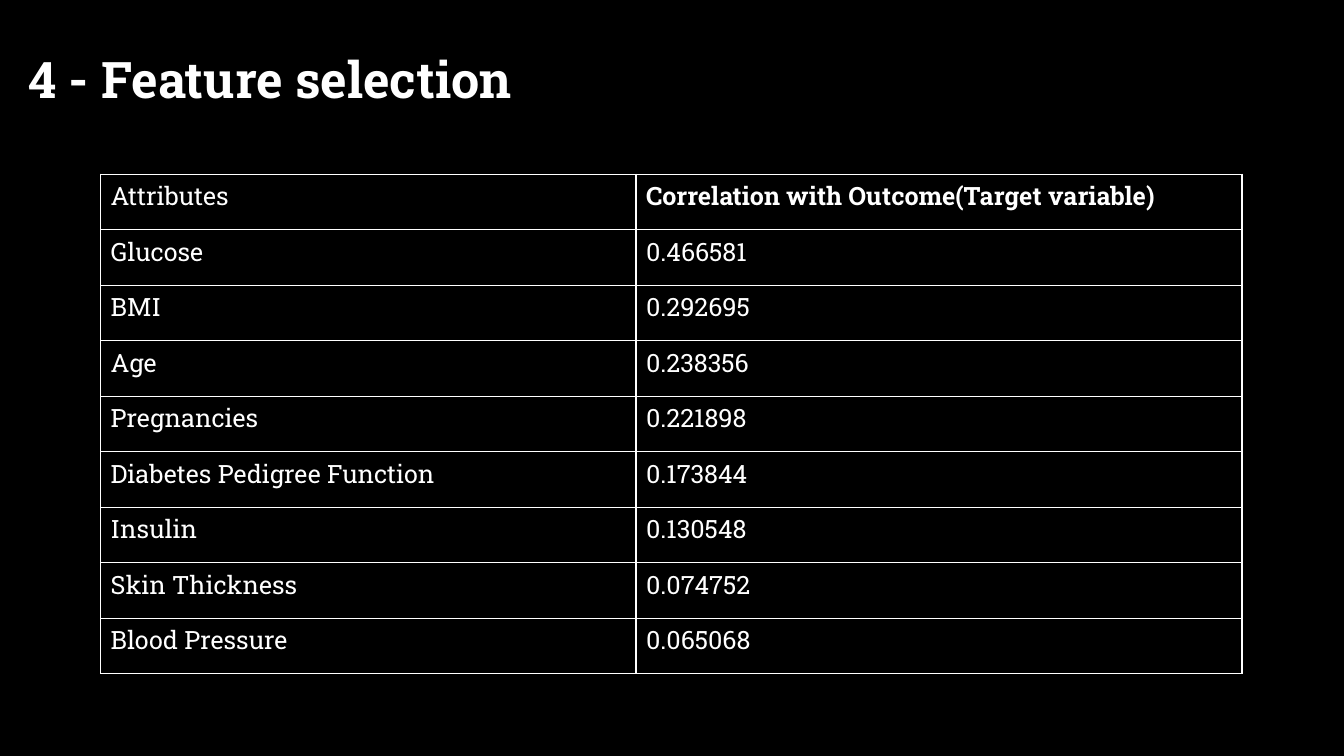
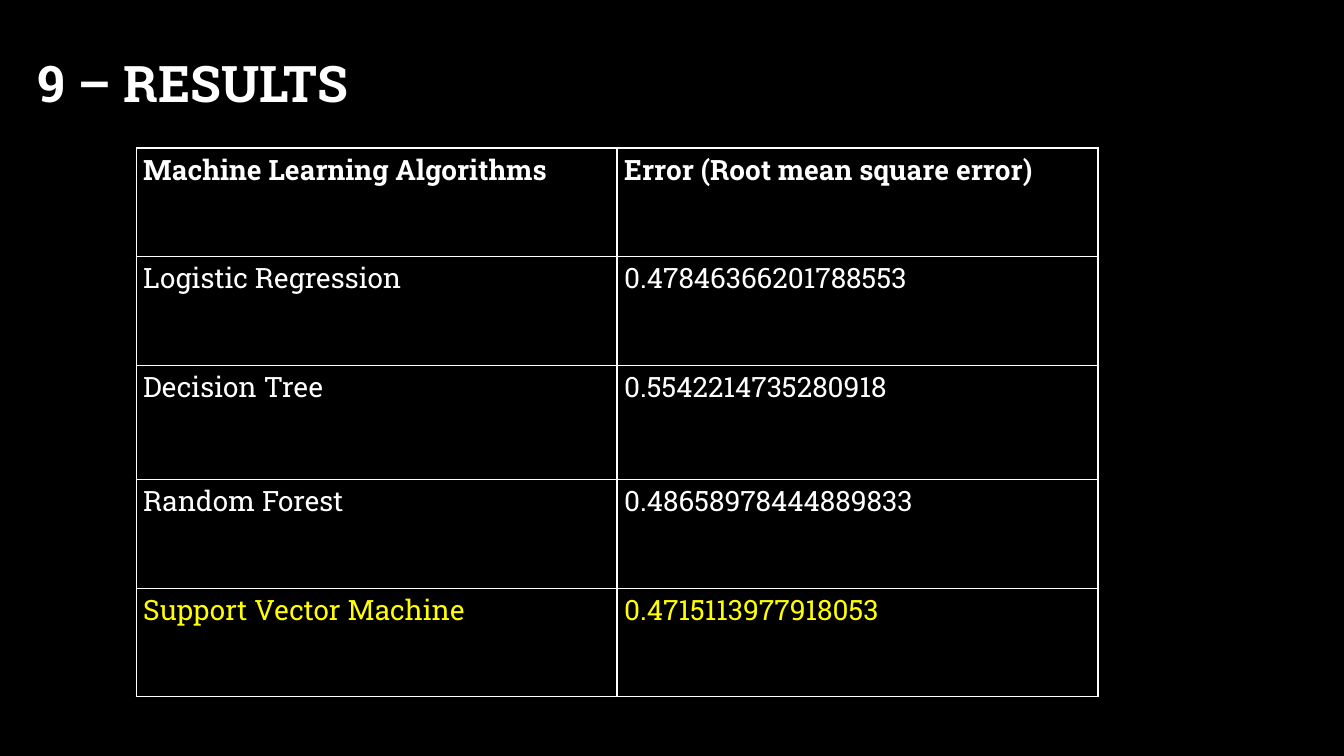
from lxml import etree
from pptx import Presentation
from pptx.dml.color import RGBColor
from pptx.enum.text import PP_ALIGN as Align
from pptx.oxml.ns import qn
from pptx.util import Cm, Pt

FONT = "Roboto Slab"
BLACK, WHITE, YELLOW = "000000", "FFFFFF", "FFFF00"

# Content: lengths in cm; "bold" and "marked" hold (row, column) and row numbers
SLIDES = [
    {
        "title": "4 - Feature selection",
        "box": (0.46, 0.79, 32.99, 17.86),
        "at": (2.54, 4.39),
        "cols": [13.49, 15.27],
        "heights": [1.4] * 9,
        "size": 18,
        "pad": (0.25, 0.13),
        "para": {},
        "bold": {(0, 1)},
        "marked": set(),
        "rows": [
            ("Attributes", "Correlation with Outcome(Target variable)"),
            ("Glucose", "0.466581"),
            ("BMI", "0.292695"),
            ("Age", "0.238356"),
            ("Pregnancies", "0.221898"),
            ("Diabetes Pedigree Function", "0.173844"),
            ("Insulin", "0.130548"),
            ("Skin Thickness", "0.074752"),
            ("Blood Pressure", "0.065068"),
        ],
    },
    {
        "title": "9 – RESULTS",
        "box": (0.69, 0.89, 32.64, 17.58),
        "at": (3.43, 3.73),
        "cols": [12.12, 12.12],
        "heights": [2.74, 2.74, 2.87, 2.74, 2.74],
        "size": 20,
        "pad": (0.18, 0),
        "para": {"alignment": Align.JUSTIFY, "line_spacing": 1.07,
                 "space_after": Pt(8)},
        "bold": {(0, 0), (0, 1)},
        "marked": {4},
        "rows": [
            ("Machine Learning Algorithms", "Error (Root mean square error)"),
            ("Logistic Regression", "0.47846366201788553"),
            ("Decision Tree", "0.5542214735280918"),
            ("Random Forest", "0.48658978444889833"),
            ("Support Vector Machine", "0.4715113977918053"),
        ],
    },
]


def paint(fill, color):
    fill.solid()
    fill.fore_color.rgb = RGBColor.from_string(color)


def style(para, size, color=WHITE, bold=False):
    font = para.font
    font.name, font.size, font.bold = FONT, Pt(size), bold
    paint(font.fill, color)


def rule(cell, color=WHITE, width=1):
    """Draw a line on all four sides of a cell."""
    props = cell._tc.get_or_add_tcPr()
    for i, side in enumerate(("a:lnL", "a:lnR", "a:lnT", "a:lnB")):
        line = etree.Element(qn(side), w=str(Pt(width)))
        fill = etree.SubElement(line, qn("a:solidFill"))
        etree.SubElement(fill, qn("a:srgbClr"), val=color)
        props.insert(i, line)


def add_title(slide, text, box):
    frame = slide.shapes.add_textbox(*map(Cm, box)).text_frame
    frame.word_wrap = True
    para = frame.paragraphs[0]
    para.text = text
    para.line_spacing, para.space_before = 1.2, Pt(10)
    style(para, 36, bold=True)


def add_grid(slide, data):
    cols, heights, rows = data["cols"], data["heights"], data["rows"]
    area = (*data["at"], sum(cols), sum(heights))
    table = slide.shapes.add_table(len(rows), len(cols), *map(Cm, area)).table
    table.first_row = table.horz_banding = False
    for col, width in zip(table.columns, cols):
        col.width = Cm(width)
    for row, height in zip(table.rows, heights):
        row.height = Cm(height)

    side, edge = map(Cm, data["pad"])
    for r, texts in enumerate(rows):
        for c, text in enumerate(texts):
            cell = table.cell(r, c)
            cell.margin_left = cell.margin_right = side
            cell.margin_top = cell.margin_bottom = edge
            cell.fill.background()
            rule(cell)
            cell.text = text
            para = cell.text_frame.paragraphs[0]
            for key, value in data["para"].items():
                setattr(para, key, value)
            color = YELLOW if r in data["marked"] else WHITE
            style(para, data["size"], color, (r, c) in data["bold"])


def main():
    deck = Presentation()
    deck.slide_width, deck.slide_height = Cm(33.87), Cm(19.05)
    for data in SLIDES:
        slide = deck.slides.add_slide(deck.slide_layouts[6])
        paint(slide.background.fill, BLACK)
        add_title(slide, data["title"], data["box"])
        add_grid(slide, data)
    deck.save("out.pptx")


if __name__ == "__main__":
    main()
